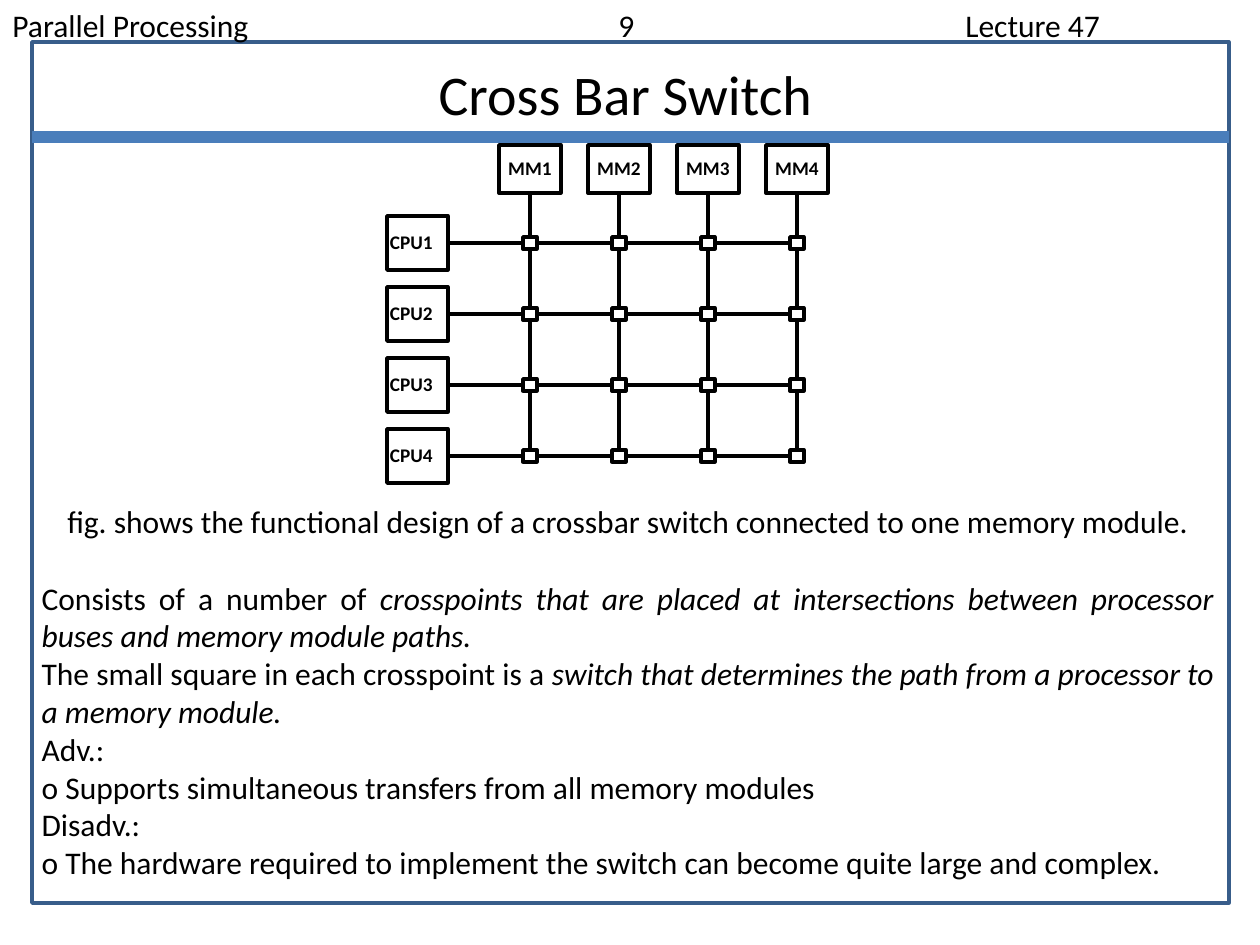
import pptx
import pptx.dml.color
import pptx.enum.shapes
import pptx.enum.text
import pptx.util
from lxml import etree

RGBColor = pptx.dml.color.RGBColor
BLACK = RGBColor(0x00, 0x00, 0x00)
WHITE = RGBColor(0xFF, 0xFF, 0xFF)
FRAME_BLUE = RGBColor(0x38, 0x5D, 0x8A)
RULE_BLUE = RGBColor(0x4A, 0x7E, 0xBB)

FONT = "Calibri"
PX_PER_INCH = 126
CENTER = pptx.enum.text.PP_ALIGN.CENTER
LEFT = pptx.enum.text.PP_ALIGN.LEFT
JUSTIFY = pptx.enum.text.PP_ALIGN.JUSTIFY

COLUMNS = [530 + 89 * i for i in range(4)]
ROWS = [243 + 71 * i for i in range(4)]
MEMORY_TOP, MEMORY_WIDTH, MEMORY_HEIGHT = 145, 62, 48
CPU_LEFT, CPU_WIDTH, CPU_HEIGHT = 387, 61, 54
SWITCH_WIDTH, SWITCH_HEIGHT = 14, 12

# Each paragraph: alignment, plain text, italic text
BODY = [
    (CENTER, "fig. shows the functional design of a crossbar switch connected to one memory module.", ""),
    (JUSTIFY, "Consists of a number of ",
     "crosspoints that are placed at intersections between processor buses and memory module paths."),
    (JUSTIFY, "The small square in each crosspoint is a ",
     "switch that determines the path from a processor to a memory module."),
    (JUSTIFY, "Adv.:", ""),
    (JUSTIFY, "o Supports simultaneous transfers from all memory modules", ""),
    (JUSTIFY, "Disadv.:", ""),
    (JUSTIFY, "o The hardware required to implement the switch can become quite large and complex.", ""),
]


def px(value):
    return pptx.util.Emu(round(value * 914400 / PX_PER_INCH))


def place(shape, left, top, width, height):
    shape.left, shape.top = px(left), px(top)
    shape.width, shape.height = px(width), px(height)


def set_font(font, size, bold=False):
    font.name = FONT
    font.size = pptx.util.Pt(size)
    font.bold = bold
    font.color.rgb = BLACK


def add_box(slide, left, top, width, height, color=BLACK, fill=None):
    box = slide.shapes.add_shape(
        pptx.enum.shapes.MSO_SHAPE.RECTANGLE, px(left), px(top), px(width), px(height))
    box.shadow.inherit = False
    if fill is None:
        box.fill.background()
    else:
        box.fill.solid()
        box.fill.fore_color.rgb = fill
    box.line.color.rgb = color
    box.line.width = pptx.util.Pt(2)
    return box


def add_label(box, text, alignment, inset=0):
    frame = box.text_frame
    frame.word_wrap = False
    frame.margin_left, frame.margin_right = px(inset), 0
    frame.text = text
    paragraph = frame.paragraphs[0]
    paragraph.alignment = alignment
    paragraph.line_spacing = 0.9
    set_font(paragraph.runs[0].font, 11, bold=True)


def add_line(slide, x1, y1, x2, y2, color=BLACK, width=2):
    line = slide.shapes.add_connector(
        pptx.enum.shapes.MSO_CONNECTOR.STRAIGHT, px(x1), px(y1), px(x2), px(y2))
    line.line.color.rgb = color
    line.line.width = pptx.util.Pt(width)
    etree.SubElement(line._element.spPr, pptx.oxml.ns.qn("a:effectLst"))


def add_header(slide):
    header = slide.shapes.add_textbox(0, 0, px(1260), px(52))
    header.text_frame.word_wrap = True
    paragraph = header.text_frame.paragraphs[0]
    paragraph.text = "Parallel Processing\t9\tLecture 47"
    tabs = etree.SubElement(paragraph._p.get_or_add_pPr(), pptx.oxml.ns.qn("a:tabLst"))
    for position in (606, 953):
        etree.SubElement(tabs, pptx.oxml.ns.qn("a:tab"), pos=str(px(position)), algn="l")
    set_font(paragraph.runs[0].font, 18)


def fill_title(title):
    place(title, 95, 53, 1061, 81)
    title.text_frame.text = "Cross Bar Switch"
    title.text_frame.auto_size = pptx.enum.text.MSO_AUTO_SIZE.NONE
    paragraph = title.text_frame.paragraphs[0]
    paragraph.alignment = CENTER
    set_font(paragraph.runs[0].font, 32)


def fill_body(body):
    place(body, 29, 496, 1198, 391)
    frame = body.text_frame
    frame.auto_size = pptx.enum.text.MSO_AUTO_SIZE.NONE
    for index, (alignment, plain, italic) in enumerate(BODY):
        paragraph = frame.paragraphs[0] if index == 0 else frame.add_paragraph()
        properties = paragraph._p.get_or_add_pPr()
        properties.set("marL", "0")
        properties.set("indent", "0")
        etree.SubElement(properties, pptx.oxml.ns.qn("a:buNone"))
        paragraph.alignment = alignment
        # The caption stands one line apart from the explanation.
        paragraph.space_before = pptx.util.Pt(22 if index == 1 else 0)
        for text, is_italic in ((plain, False), (italic, True)):
            if text:
                run = paragraph.add_run()
                run.text = text
                set_font(run.font, 18)
                run.font.italic = is_italic


def add_crossbar(slide):
    for number, x in enumerate(COLUMNS, 1):
        memory = add_box(slide, x - MEMORY_WIDTH / 2, MEMORY_TOP, MEMORY_WIDTH, MEMORY_HEIGHT)
        add_label(memory, f"MM{number}", CENTER)
        add_line(slide, x, MEMORY_TOP + MEMORY_HEIGHT, x, ROWS[-1])
    for number, y in enumerate(ROWS, 1):
        cpu = add_box(slide, CPU_LEFT, y - CPU_HEIGHT / 2, CPU_WIDTH, CPU_HEIGHT)
        add_label(cpu, f"CPU{number}", LEFT, inset=3)
        add_line(slide, CPU_LEFT + CPU_WIDTH, y, COLUMNS[-1], y)
    for y in ROWS:
        for x in COLUMNS:
            add_box(slide, x - SWITCH_WIDTH / 2, y - SWITCH_HEIGHT / 2,
                    SWITCH_WIDTH, SWITCH_HEIGHT, fill=WHITE)


def main():
    presentation = pptx.Presentation()
    presentation.slide_width, presentation.slide_height = px(1260), px(945)
    slide = presentation.slides.add_slide(presentation.slide_layouts[1])
    add_box(slide, 32, 42, 1197, 861, color=FRAME_BLUE)
    add_header(slide)
    add_line(slide, 32, 137, 1229, 137, color=RULE_BLUE, width=6.75)
    fill_title(slide.shapes.title)
    add_crossbar(slide)
    fill_body(slide.placeholders[1])
    presentation.save("out.pptx")


if __name__ == "__main__":
    main()
